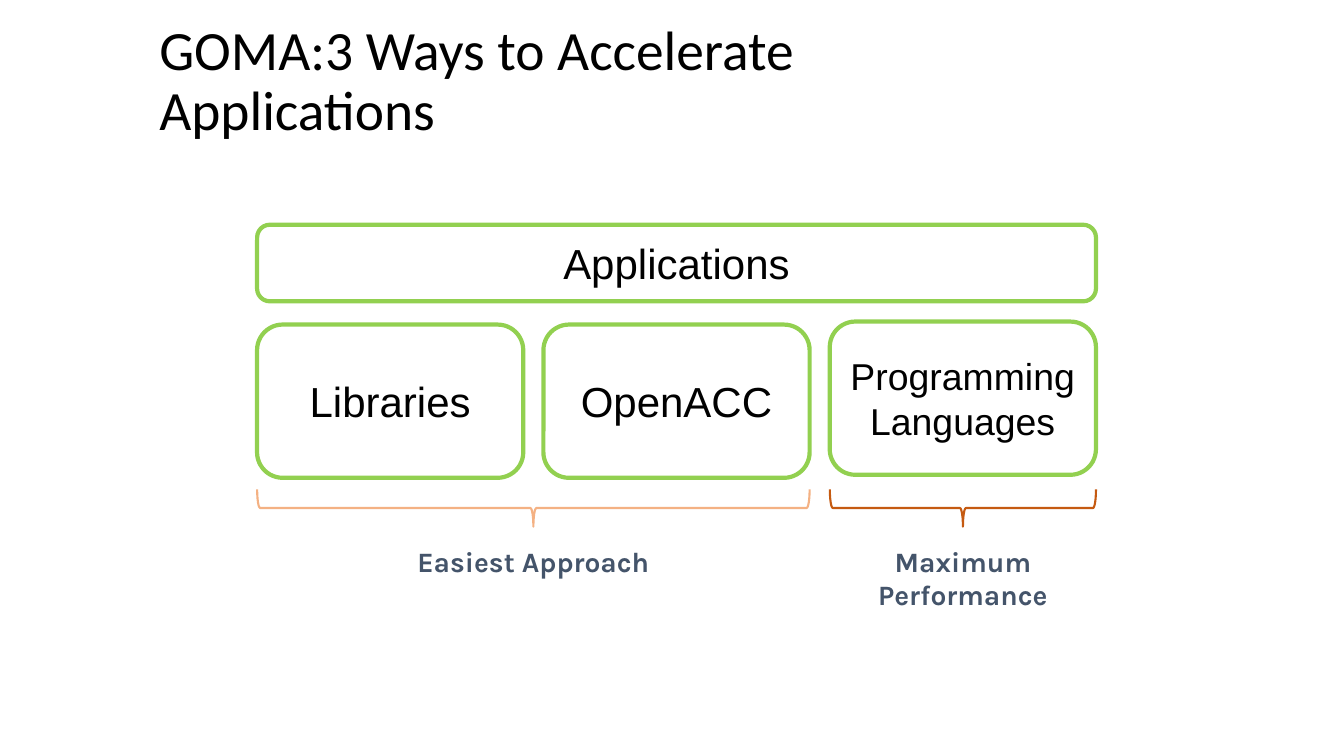
"""Build the slide on three ways to accelerate applications with GOMA."""
from lxml.etree import SubElement
from pptx import Presentation
from pptx.dml.color import RGBColor
from pptx.enum.shapes import MSO_SHAPE
from pptx.enum.text import MSO_ANCHOR, MSO_AUTO_SIZE, PP_ALIGN
from pptx.oxml.ns import qn
from pptx.util import Inches, Pt

THEME = {
    "white": RGBColor.from_string("FFFFFF"),
    "black": RGBColor.from_string("000000"),
    "green": RGBColor.from_string("92D050"),
    "peach": RGBColor.from_string("F4B183"),
    "rust": RGBColor.from_string("C55A11"),
    "slate": RGBColor.from_string("44546A"),
    "title": {"name": "Calibri", "size": Pt(39.6), "bold": False},
    "box": {"name": "Arial", "size": Pt(30)},
    "long_box": {"name": "Arial", "size": Pt(26.7)},
    "caption": {"name": "Karla", "size": Pt(20), "bold": True},
}


def write_text(shape, text, style, color, alignment, anchor):
    """Fill a shape with one formatted paragraph."""
    frame = shape.text_frame
    frame.word_wrap = True
    frame.auto_size = MSO_AUTO_SIZE.NONE
    frame.vertical_anchor = anchor
    paragraph = frame.paragraphs[0]
    paragraph.alignment = alignment
    run = paragraph.add_run()
    run.text = text
    for attribute, value in THEME[style].items():
        setattr(run.font, attribute, value)
    run.font.color.rgb = THEME[color]
    return paragraph


def add_outlined(kind, left, top, width, height, color, weight):
    """Add a shadowless preset shape with a coloured outline."""
    shape = slide.shapes.add_shape(
        kind, Inches(left), Inches(top), Inches(width), Inches(height))
    shape.shadow.inherit = False
    shape.line.color.rgb = THEME[color]
    shape.line.width = Pt(weight)
    return shape


presentation = Presentation()
presentation.slide_width = Inches(13.33)
presentation.slide_height = Inches(7.5)
slide = presentation.slides.add_slide(presentation.slide_layouts[5])

title = slide.shapes.title
title_place = {"left": 1.48, "top": 0.26, "width": 9.09, "height": 1.12}
for attribute, value in title_place.items():
    setattr(title, attribute, Inches(value))
heading = write_text(title, "GOMA:3 Ways to Accelerate Applications", "title",
                     "black", PP_ALIGN.LEFT, MSO_ANCHOR.MIDDLE)
heading.line_spacing = 0.9

box_left, box_width, box_height, column_step = 2.55, 2.64, 1.52, 2.84
boxes = [
    ("Libraries", 0, 3.22, box_width, box_height, "box"),
    ("OpenACC", 1, 3.22, box_width, box_height, "box"),
    ("Programming Languages", 2, 3.19, box_width, box_height, "long_box"),
    ("Applications", 0, 2.23, 2 * column_step + box_width, 0.76, "box"),
]
for text, column, top, width, height, style in boxes:
    box = add_outlined(MSO_SHAPE.ROUNDED_RECTANGLE,
                       box_left + column * column_step, top, width, height, "green", 3)
    box.fill.solid()
    box.fill.fore_color.rgb = THEME["white"]
    fill_color = box.fill._xPr.find(qn("a:solidFill"))[0]
    SubElement(fill_color, qn("a:alpha"), val="20000")
    write_text(box, text, style, "black", PP_ALIGN.CENTER, MSO_ANCHOR.MIDDLE)

brace_depth, brace_middle = 0.37, 5.04
braces = [(0, column_step + box_width, "peach"), (2, box_width, "rust")]
for column, span, color in braces:
    center = box_left + column * column_step + span / 2
    brace = add_outlined(MSO_SHAPE.RIGHT_BRACE, center - brace_depth / 2,
                         brace_middle - span / 2, brace_depth, span, color, 1.5)
    brace.rotation = 90
    brace.adjustments[0] = 0.08
    brace.adjustments[1] = 0.5
    brace.fill.background()

captions = [
    ("Easiest Approach", 2.55, 5.48, 0.44),
    ("Maximum Performance", 8.09, 2.92, 0.77),
]
for text, left, width, height in captions:
    caption = slide.shapes.add_textbox(
        Inches(left), Inches(5.35), Inches(width), Inches(height))
    write_text(caption, text, "caption", "slate", PP_ALIGN.CENTER, MSO_ANCHOR.TOP)

presentation.save("out.pptx")
